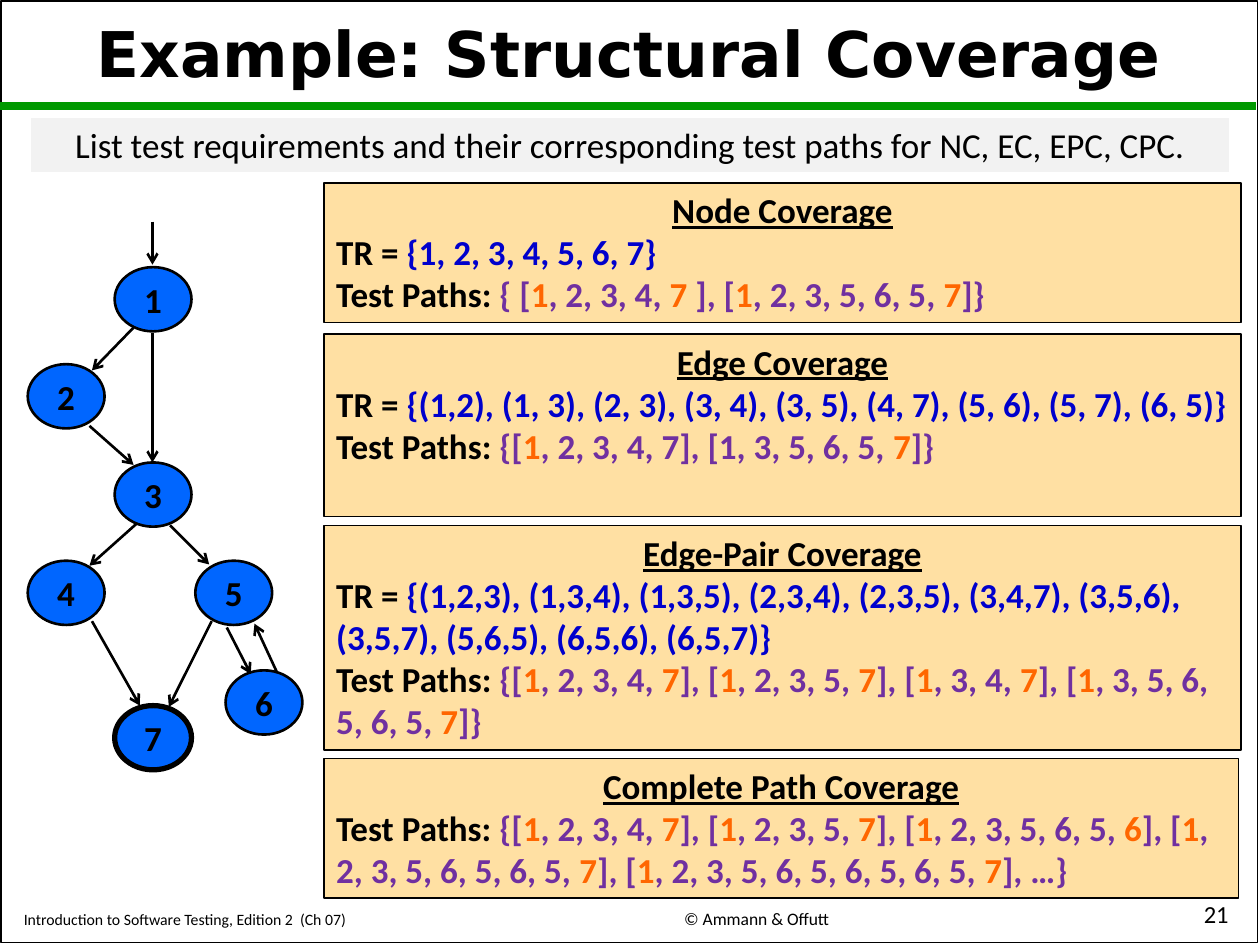
from pptx import Presentation
from pptx.dml.color import RGBColor
from pptx.enum.shapes import MSO_CONNECTOR as Connector, MSO_SHAPE as Shape
from pptx.enum.text import MSO_ANCHOR as Anchor, PP_ALIGN as Align
from pptx.oxml.ns import qn
from pptx.util import Inches, Pt
from lxml.etree import SubElement

BLACK, WHITE, GREEN = "000000", "FFFFFF", "009900"
PANEL, BANNER, NODE = "FFE0A3", "F2F2F2", "0066FF"
REQUIREMENT, PATH, ENDPOINT = "0000CC", "7030A0", "FF6600"


def rgb(value):
    return RGBColor.from_string(value)


class GraphSlide:
    """Holds the style and the slide being built."""

    font = "Calibri"
    size = 20

    def __init__(self, slide):
        self.slide = slide

    def run(self, paragraph, text, color=BLACK, size=None, font=None,
            bold=False, underline=False):
        run = paragraph.add_run()
        run.text = text
        run.font.name = font or self.font
        run.font.size = Pt(size or self.size)
        run.font.bold = bold
        run.font.underline = underline
        run.font.color.rgb = rgb(color)

    def title(self, text, *box):
        title = self.slide.shapes.title
        title.left, title.top, title.width, title.height = map(Inches, box)
        title.text_frame.vertical_anchor = Anchor.MIDDLE
        heading = title.text_frame.paragraphs[0]
        heading.alignment = Align.CENTER
        heading.line_spacing = 0.9
        self.run(heading, text, size=36, font="DejaVu Sans", bold=True)

    def shape(self, kind, box, fill=None, line=BLACK, weight=1):
        shape = self.slide.shapes.add_shape(kind, *map(Inches, box))
        shape.shadow.inherit = False
        if fill:
            shape.fill.solid()
            shape.fill.fore_color.rgb = rgb(fill)
        else:
            shape.fill.background()
        shape.line.color.rgb = rgb(line)
        shape.line.width = Pt(weight)
        frame = shape.text_frame
        frame.word_wrap = True
        frame.vertical_anchor = Anchor.TOP
        return frame

    def line(self, start, end, color=BLACK, weight=1.5, arrow=True):
        line = self.slide.shapes.add_connector(
            Connector.STRAIGHT, *map(Inches, (*start, *end)))
        line.line.color.rgb = rgb(color)
        line.line.width = Pt(weight)
        if arrow:
            SubElement(line.line._get_or_add_ln(), qn("a:tailEnd"), type="arrow")
        SubElement(line._element.spPr, qn("a:effectLst"))

    def footer(self, text, box, size, align):
        frame = self.slide.shapes.add_textbox(*map(Inches, box)).text_frame
        frame.word_wrap = True
        frame.vertical_anchor = Anchor.BOTTOM
        frame.paragraphs[0].alignment = align
        self.run(frame.paragraphs[0], text, size=size)

    def banner(self, text, box):
        sentence = self.shape(Shape.RECTANGLE, box, BANNER, WHITE).paragraphs[0]
        sentence.alignment = Align.CENTER
        self.run(sentence, text)

    def node(self, label, left, top, weight=1.5):
        frame = self.shape(Shape.OVAL, (left, top, 0.61, 0.51), NODE, weight=weight)
        frame.margin_left = frame.margin_right = 0
        frame.margin_top = frame.margin_bottom = 0
        frame.word_wrap = False
        frame.vertical_anchor = Anchor.MIDDLE
        frame.paragraphs[0].alignment = Align.CENTER
        self.run(frame.paragraphs[0], label, bold=True)

    def criterion(self, name, top, height, requirements, paths, width=7.28):
        """Draw a coverage panel; asterisks in paths enclose the end nodes."""
        frame = self.shape(Shape.RECTANGLE, (2.57, top, width, height), PANEL)
        heading = frame.paragraphs[0]
        heading.alignment = Align.CENTER
        self.run(heading, name, bold=True, underline=True)
        if requirements:
            listing = frame.add_paragraph()
            listing.alignment = Align.LEFT
            self.run(listing, "TR = ", bold=True)
            self.run(listing, requirements, REQUIREMENT, bold=True)
        tests = frame.add_paragraph()
        tests.alignment = Align.LEFT
        self.run(tests, "Test Paths: ", bold=True)
        for index, part in enumerate(paths.split("*")):
            self.run(tests, part, ENDPOINT if index % 2 else PATH, bold=True)


CRITERIA = [
    ("Node Coverage", 1.45, 1.11, "{1, 2, 3, 4, 5, 6, 7}",
     "{ [*1*, 2, 3, 4, *7* ], [*1*, 2, 3, 5, 6, 5, *7*]}"),
    ("Edge Coverage", 2.65, 1.45,
     "{(1,2), (1, 3), (2, 3), (3, 4), (3, 5), (4, 7), (5, 6), (5, 7), (6, 5)}",
     "{[*1*, 2, 3, 4, 7], [1, 3, 5, 6, 5, *7*]}"),
    ("Edge-Pair Coverage", 4.17, 1.78,
     "{(1,2,3), (1,3,4), (1,3,5), (2,3,4), (2,3,5), (3,4,7), (3,5,6), "
     "(3,5,7), (5,6,5), (6,5,6), (6,5,7)}",
     "{[*1*, 2, 3, 4, *7*], [*1*, 2, 3, 5, *7*], [*1*, 3, 4, *7*], "
     "[*1*, 3, 5, 6, 5, 6, 5, *7*]}"),
    ("Complete Path Coverage", 6.02, 1.11, None,
     "{[*1*, 2, 3, 4, *7*], [*1*, 2, 3, 5, *7*], [*1*, 2, 3, 5, 6, 5, *6*], "
     "[*1*, 2, 3, 5, 6, 5, 6, 5, *7*], [*1*, 2, 3, 5, 6, 5, 6, 5, 6, 5, *7*], …}",
     7.26),
]

NODES = [("1", 0.91, 2.12), ("2", 0.22, 2.89), ("3", 0.91, 3.67),
         ("4", 0.22, 4.45), ("5", 1.55, 4.45), ("6", 1.79, 5.32),
         ("7", 0.91, 5.6, 3)]

EDGES = [
    ((1.21, 1.76), (1.21, 2.1)),   # entry to 1
    ((1.06, 2.6), (0.73, 2.94)),   # 1 to 2
    ((1.21, 2.64), (1.21, 3.67)),  # 1 to 3
    ((0.71, 3.38), (1.06, 3.69)),  # 2 to 3
    ((1.08, 4.16), (0.71, 4.49)),  # 3 to 4
    ((1.35, 4.17), (1.66, 4.48)),  # 3 to 5
    ((0.73, 4.93), (1.11, 5.6)),   # 4 to 7
    ((1.68, 4.93), (1.34, 5.61)),  # 5 to 7
    ((1.8, 4.98), (1.99, 5.35)),   # 5 to 6
    ((2.2, 5.34), (2.02, 4.95)),   # 6 to 5
]


def main():
    deck = Presentation()
    deck.slide_width, deck.slide_height = Inches(10), Inches(7.5)
    page = GraphSlide(deck.slides.add_slide(deck.slide_layouts[5]))

    page.shape(Shape.RECTANGLE, (0.01, 0.01, 9.97, 7.47))
    page.line((0, 0.84), (9.97, 0.84), GREEN, 4.5, arrow=False)
    page.title("Example: Structural Coverage", 0.09, 0.11, 9.8, 0.69)
    page.banner("List test requirements and their corresponding test paths "
                "for NC, EC, EPC, CPC.", (0.24, 0.93, 9.52, 0.44))

    for criterion in CRITERIA:
        page.criterion(*criterion)
    for node in NODES:
        page.node(*node)
    for start, end in EDGES:
        page.line(start, end)

    page.footer("Introduction to Software Testing, Edition 2  (Ch 07)",
                (0.09, 7.12, 4.12, 0.3), 9, Align.LEFT)
    page.footer("© Ammann & Offutt", (4.42, 7.11, 3.17, 0.31), 10, Align.CENTER)
    page.footer("21", (7.89, 7.1, 1.96, 0.32), 14, Align.RIGHT)
    deck.save("out.pptx")


if __name__ == "__main__":
    main()
